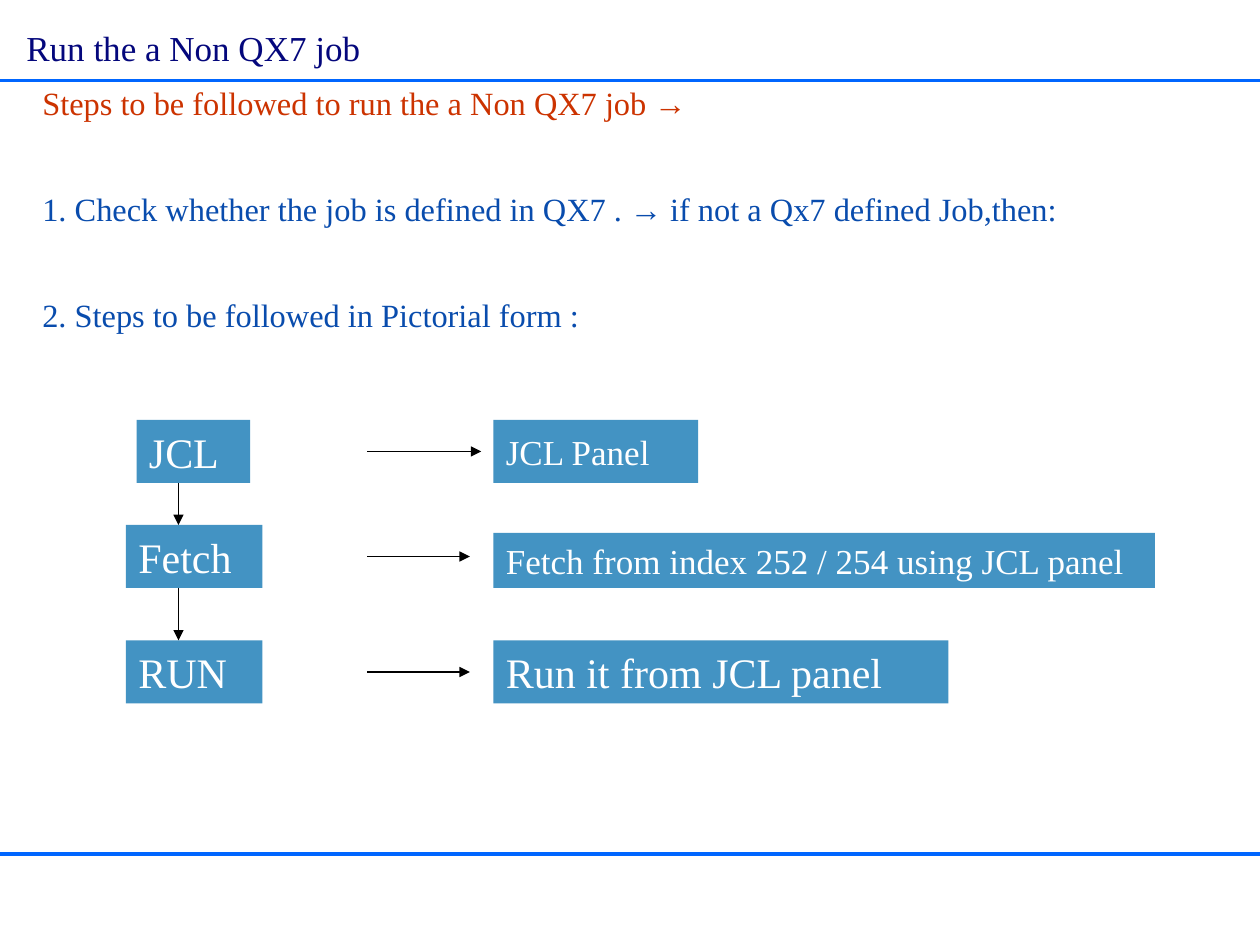
from lxml import etree
from pptx import Presentation
from pptx.dml.color import RGBColor
from pptx.enum import shapes, text
from pptx.oxml import ns
from pptx.util import Pt

RULE_BLUE = RGBColor(0x00, 0x66, 0xFF)
TITLE_NAVY = RGBColor(0x04, 0x07, 0x7C)
HEADING_RED = RGBColor(0xCC, 0x33, 0x00)
STEP_BLUE = RGBColor(0x09, 0x4C, 0xAD)
BOX_BLUE = RGBColor(0x43, 0x93, 0xC3)
WHITE = RGBColor(0xFF, 0xFF, 0xFF)
BLACK = RGBColor(0x00, 0x00, 0x00)
SERIF, SANS = "Times New Roman", "Arial"
ARROW = "→"

INTRO = [
    ("Steps to be followed to run the a Non QX7 job →", HEADING_RED),
    ("1. Check whether the job is defined in QX7 . → if not a Qx7 defined Job,then:", STEP_BLUE),
    ("2. Steps to be followed in Pictorial form :", STEP_BLUE),
]
ROW_HEIGHT, STEM_X, ARROW_X, DETAIL_X = 36, 30, 138, 210
STEPS = [
    (0, ("JCL", 6, 65), ("JCL Panel", 117, 36, 20), 65),
    (60, ("Fetch", 0, 78), ("Fetch from index 252 / 254 using JCL panel", 378, 31.5, 20), 58.5),
    (126, ("RUN", 0, 78), ("Run it from JCL panel", 260, 36, 24), 58.5),
]


def set_font(para, size, color):
    """Give a paragraph the slide's serif font."""
    para.font.name = SERIF
    para.font.size = Pt(size)
    para.font.color.rgb = color


def place(shape, left, top, width, height):
    """Move and size a shape, in points."""
    shape.left, shape.top = Pt(left), Pt(top)
    shape.width, shape.height = Pt(width), Pt(height)


def add_line(page, start, end, color, weight, arrow=False):
    """Draw a straight line, with an arrowhead at its end if asked."""
    line = page.shapes.add_connector(
        shapes.MSO_CONNECTOR.STRAIGHT, *(Pt(value) for value in (*start, *end)))
    line.line.color.rgb = color
    line.line.width = Pt(weight)
    if arrow:
        etree.SubElement(line.line._get_or_add_ln(), ns.qn("a:tailEnd"), type="triangle")
    etree.SubElement(line._element.spPr, ns.qn("a:effectLst"))


def add_title(page, left, top, width, height):
    """Fill the title placeholder."""
    title = page.shapes.title
    place(title, left, top, width, height)
    frame = title.text_frame
    frame.text = "Run the a Non QX7 job"
    frame.word_wrap = False
    frame.margin_left = frame.margin_right = Pt(0)
    frame.auto_size = text.MSO_AUTO_SIZE.NONE
    frame.vertical_anchor = text.MSO_ANCHOR.TOP
    para = frame.paragraphs[0]
    para.alignment = text.PP_ALIGN.CENTER
    set_font(para, 20, TITLE_NAVY)


def add_intro(page, left, top, width, height):
    """Fill the body placeholder with the heading and numbered steps."""
    body = page.placeholders[1]
    place(body, left, top, width, height)
    frame = body.text_frame
    frame.auto_size = text.MSO_AUTO_SIZE.NONE
    for index, (wording, color) in enumerate(INTRO):
        para = frame.add_paragraph() if index else frame.paragraphs[0]
        props = para._p.get_or_add_pPr()
        props.set("marL", "0")
        props.set("indent", "0")
        etree.SubElement(props, ns.qn("a:buNone"))
        para.line_spacing = 0.8
        para.space_before = Pt(43 if index else 0)
        set_font(para, 18.5, color)
        for part in filter(None, wording.partition(ARROW)):
            span = para.add_run()
            span.text = part
            if part == ARROW:
                span.font.name = SANS


def add_box(page, left, top, width, height, label, size):
    """Draw one filled box with its label."""
    box = page.shapes.add_shape(
        shapes.MSO_SHAPE.RECTANGLE, Pt(left), Pt(top), Pt(width), Pt(height))
    box.shadow.inherit = False
    box.fill.solid()
    box.fill.fore_color.rgb = BOX_BLUE
    box.line.fill.background()
    frame = box.text_frame
    frame.text = label
    frame.word_wrap = True
    frame.vertical_anchor = text.MSO_ANCHOR.MIDDLE
    para = frame.paragraphs[0]
    para.alignment = text.PP_ALIGN.LEFT
    set_font(para, size, WHITE)


def add_flow(page, left, top):
    """Draw the three steps, each with an arrow to its explanation."""
    previous_bottom = None
    for offset, (name, inset, width), (detail, span, height, size), reach in STEPS:
        row = top + offset
        bottom = row + ROW_HEIGHT
        middle = row + ROW_HEIGHT / 2
        add_box(page, left + inset, row, width, ROW_HEIGHT, name, 24)
        add_box(page, left + DETAIL_X, bottom - height, span, height, detail, size)
        arrow_left = left + ARROW_X
        add_line(page, (arrow_left, middle), (arrow_left + reach, middle), BLACK, 0.75, True)
        if previous_bottom is not None:
            stem = left + STEM_X
            add_line(page, (stem, previous_bottom), (stem, row), BLACK, 0.75, True)
        previous_bottom = bottom


def main():
    """Build and save the deck."""
    deck = Presentation()
    deck.slide_width, deck.slide_height = Pt(720), Pt(540)
    page = deck.slides.add_slide(deck.slide_layouts[1])
    for height in (488, 46):
        add_line(page, (0, height), (720, height), RULE_BLUE, 2.25)
    add_intro(page, 17, 48, 667, 150)
    add_flow(page, 72, 240)
    add_title(page, 8.5, 11.5, 204, 31.5)
    deck.save("out.pptx")


if __name__ == "__main__":
    main()
